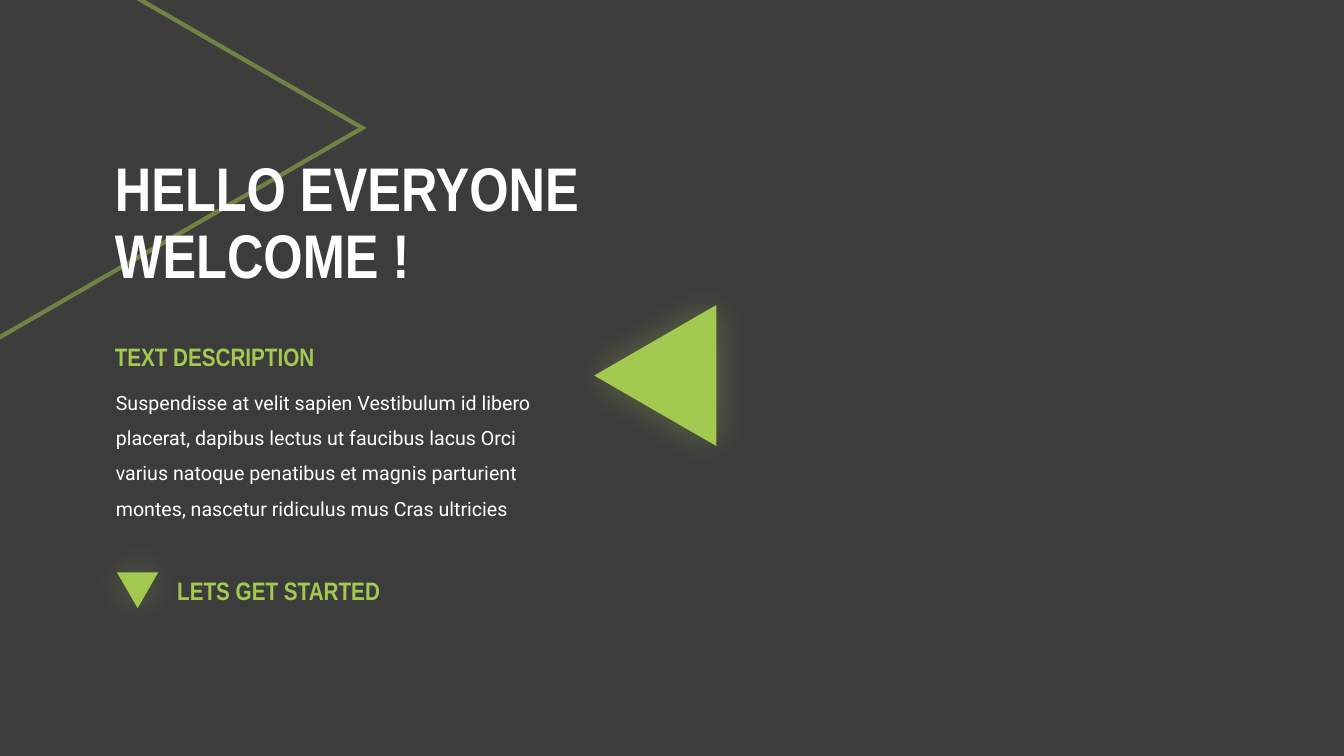
"""Build the welcome slide with glowing triangles."""
from dataclasses import dataclass
from math import sqrt

from lxml import etree
from pptx import Presentation
from pptx.dml.color import RGBColor
from pptx.enum.shapes import MSO_SHAPE
from pptx.enum.text import MSO_ANCHOR, MSO_AUTO_SIZE, PP_ALIGN
from pptx.oxml.ns import qn
from pptx.util import Inches, Pt

TRIANGLE = MSO_SHAPE.ISOSCELES_TRIANGLE
LEFT = PP_ALIGN.LEFT
TOP, MIDDLE = MSO_ANCHOR.TOP, MSO_ANCHOR.MIDDLE
NO_AUTOFIT = MSO_AUTO_SIZE.NONE
TITLE_ONLY = 5
WIDTH, HEIGHT = Inches(13.33), Inches(7.5)


@dataclass(frozen=True)
class Theme:
    """Colours, fonts, sizes and effects of the slide."""
    background: str = "3C3C3C"
    accent: str = "A3C951"
    light: str = "FFFFFF"
    display_font: str = "Arial Narrow"
    body_font: str = "Roboto"
    title_size: int = 44
    heading_size: int = 18
    body_size: int = 14
    outline_width: int = 3
    outline_opacity: int = 50
    glow_blur: int = 25
    glow_opacity: int = 35


THEME = Theme()


def across(percent):
    """Return a share of the slide width."""
    return int(WIDTH * percent / 100)


def down(percent):
    """Return a share of the slide height."""
    return int(HEIGHT * percent / 100)


def set_opacity(colour, percent):
    """Give a colour element an opacity."""
    etree.SubElement(colour, qn("a:alpha"), val=str(percent * 1000))


def add_glow(triangle):
    """Surround a triangle with a soft accent shadow."""
    triangle.shadow.inherit = False
    effects = triangle.element.spPr.find(qn("a:effectLst"))
    glow = etree.SubElement(effects, qn("a:outerShdw"), blurRad=str(Pt(THEME.glow_blur)),
                            dist="0", dir="0", algn="ctr", rotWithShape="0")
    colour = etree.SubElement(glow, qn("a:srgbClr"), val=THEME.accent)
    set_opacity(colour, THEME.glow_opacity)


def add_triangle(slide, centre_x, centre_y, side, rotation, outlined=False):
    """Add an equilateral triangle around its centre, filled or outlined."""
    base = across(side)
    rise = int(base * sqrt(3) / 2)
    triangle = slide.shapes.add_shape(TRIANGLE, across(centre_x) - base // 2,
                                      down(centre_y) - rise // 2, base, rise)
    triangle.rotation = rotation
    accent = RGBColor.from_string(THEME.accent)
    if outlined:
        triangle.fill.background()
        triangle.line.color.rgb = accent
        triangle.line.width = Pt(THEME.outline_width)
        outline = triangle.element.spPr.find(qn("a:ln"))
        set_opacity(outline.find(".//" + qn("a:srgbClr")), THEME.outline_opacity)
        etree.SubElement(outline, qn("a:miter"), lim="800000")
    else:
        triangle.fill.solid()
        triangle.fill.fore_color.rgb = accent
        triangle.line.fill.background()
    add_glow(triangle)


def write(holder, text, *, size, font, colour, bold=False, spacing=1.0, anchor=TOP):
    """Write formatted, left-aligned text into a shape."""
    frame = holder.text_frame
    frame.word_wrap = True
    frame.auto_size = NO_AUTOFIT
    frame.vertical_anchor = anchor
    frame.text = text
    paragraph = frame.paragraphs[0]
    paragraph.alignment = LEFT
    paragraph.line_spacing = spacing
    for run in paragraph.runs:
        run.font.size = Pt(size)
        run.font.name = font
        run.font.bold = bold
        run.font.color.rgb = RGBColor.from_string(colour)


def add_title(slide, text, x, y, width, height):
    """Place and fill the title placeholder."""
    title = slide.shapes.title
    title.left, title.top = across(x), down(y)
    title.width, title.height = across(width), down(height)
    write(title, text, size=THEME.title_size, font=THEME.display_font,
          colour=THEME.light, bold=True, spacing=0.9, anchor=MIDDLE)


def add_text(slide, text, x, y, width, height, **text_format):
    """Add a text box at shares of the slide."""
    box = slide.shapes.add_textbox(across(x), down(y), across(width), down(height))
    write(box, text, **text_format)


def add_heading(slide, text, x, y):
    """Add a short accent heading."""
    add_text(slide, text, x, y, 18.38, 5.33, size=THEME.heading_size,
             font=THEME.display_font, colour=THEME.accent, bold=True)


def main():
    """Assemble and save the slide."""
    deck = Presentation()
    deck.slide_width, deck.slide_height = WIDTH, HEIGHT
    slide = deck.slides.add_slide(deck.slide_layouts[TITLE_ONLY])
    slide.background.fill.solid()
    slide.background.fill.fore_color.rgb = RGBColor.from_string(THEME.background)

    add_triangle(slide, 12.64, 16.93, 33.08, 90, outlined=True)
    title_element = slide.shapes.title.element
    title_element.getparent().append(title_element)
    add_title(slide, "HELLO EVERYONE\vWELCOME !", 7.8, 19.2, 56.26, 21.07)
    add_triangle(slide, 48.76, 49.67, 10.5, 270)
    add_text(slide, "Suspendisse at velit sapien Vestibulum id libero placerat, dapibus "
             "lectus ut faucibus lacus Orci varius natoque penatibus et magnis parturient "
             "montes, nascetur ridiculus mus Cras ultricies", 7.88, 49.47, 33.83, 19.73,
             size=THEME.body_size, font=THEME.body_font, colour=THEME.light, spacing=1.5)
    add_heading(slide, "TEXT DESCRIPTION", 7.8, 44.53)
    add_triangle(slide, 10.24, 78.07, 3.08, 180)
    add_heading(slide, "LETS GET STARTED", 12.45, 75.47)
    deck.save("out.pptx")


if __name__ == "__main__":
    main()
